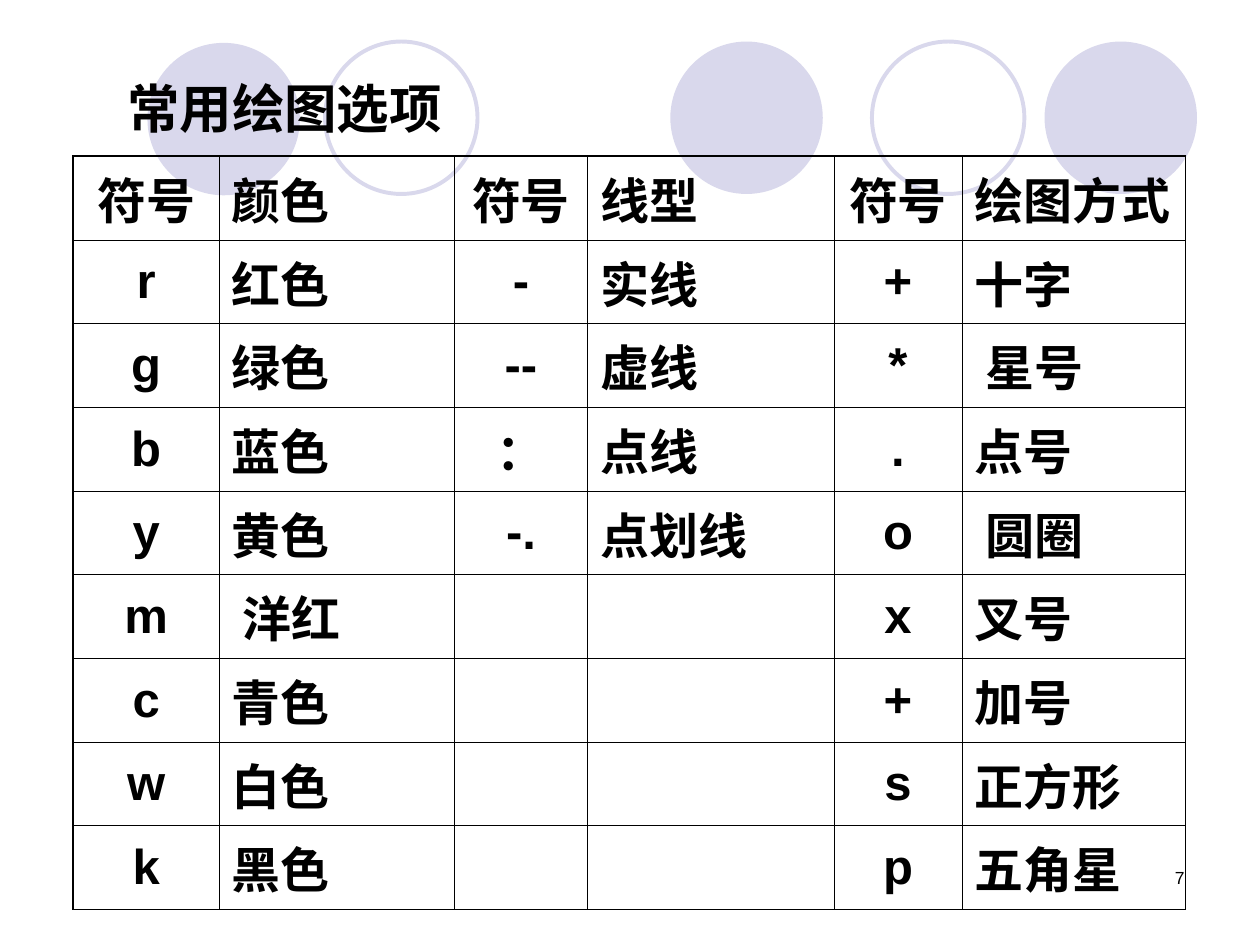
from typing import NamedTuple

from lxml.etree import SubElement
from pptx import Presentation
from pptx.dml.color import RGBColor
from pptx.enum.shapes import MSO_SHAPE
from pptx.enum.text import MSO_ANCHOR, PP_ALIGN
from pptx.oxml.ns import qn
from pptx.slide import Slide
from pptx.table import _Cell
from pptx.text.text import _Paragraph
from pptx.util import Emu, Inches, Pt

COLORS = {"text": "000000", "border": "000000", "circle": "D9D8EC"}
FONT = "Arial"

# The slide is a grid of 100 columns and 75 rows
SLIDE_WIDTH, SLIDE_HEIGHT = Inches(10), Inches(7.5)
COLUMN, ROW = SLIDE_WIDTH / 100, SLIDE_HEIGHT / 75

CIRCLE_SIZE = 12.1
THIN, THICK = 0.45, 1.08


class Circle(NamedTuple):
    left: float
    top: float
    filled: bool


class Box(NamedTuple):
    left: float
    top: float
    width: float
    height: float


CIRCLES = [
    Circle(53.2, 3.3, True),
    Circle(82.9, 3.3, True),
    Circle(11.7, 3.4, True),
    Circle(69.2, 3.3, False),
    Circle(25.8, 3.3, False),
]
TITLE_BOX = Box(9.1, 4.7, 81.9, 6.7)
NUMBER_BOX = Box(71.7, 68.3, 23.3, 5)
TABLE_BOX = Box(5.8, 12.4, 88.3, 59.8)

TABLE_COLUMNS = [11.6, 18.65, 10.6, 19.55, 10.15, 17.75]
OPTIONS = [
    ["符号", "颜色", "符号", "线型", "符号", "绘图方式"],
    ["r", "红色", "-", "实线", "+", "十字"],
    ["g", "绿色", "--", "虚线", "*", " 星号"],
    ["b", "蓝色", "：", "点线", ".", "点号"],
    ["y", "黄色", "-.", "点划线", "o", " 圆圈"],
    ["m", " 洋红", "", "", "x", "叉号"],
    ["c", "青色", "", "", "+", "加号"],
    ["w", "白色", "", "", "s", "正方形"],
    ["k", "黑色", "", "", "p", "五角星"],
]


def across(columns: float) -> Emu:
    return Emu(round(columns * COLUMN))


def down(rows: float) -> Emu:
    return Emu(round(rows * ROW))


def place(box: Box) -> tuple[Emu, Emu, Emu, Emu]:
    return across(box.left), down(box.top), across(box.width), down(box.height)


def color(name: str) -> RGBColor:
    return RGBColor.from_string(COLORS[name])


def add_run(paragraph: _Paragraph, text: str, size: float, bold: bool = False) -> None:
    run = paragraph.add_run()
    run.text = text
    run.font.name = FONT
    run.font.size = Pt(size)
    run.font.bold = bold
    run.font.color.rgb = color("text")


def add_circle(slide: Slide, circle: Circle) -> None:
    box = Box(circle.left, circle.top, CIRCLE_SIZE, CIRCLE_SIZE)
    shape = slide.shapes.add_shape(MSO_SHAPE.OVAL, *place(box))
    shape.shadow.inherit = False
    if circle.filled:
        shape.fill.solid()
        shape.fill.fore_color.rgb = color("circle")
        shape.line.fill.background()
    else:
        shape.fill.background()
        shape.line.color.rgb = color("circle")
        shape.line.width = Pt(2.25)


def add_text_box(slide: Slide, box: Box, anchor: MSO_ANCHOR, alignment: PP_ALIGN) -> _Paragraph:
    frame = slide.shapes.add_textbox(*place(box)).text_frame
    frame.word_wrap = True
    frame.vertical_anchor = anchor
    paragraph = frame.paragraphs[0]
    paragraph.alignment = alignment
    return paragraph


def set_borders(cell: _Cell, widths: dict[str, float]) -> None:
    properties = cell._tc.get_or_add_tcPr()
    for index, (side, width) in enumerate(widths.items()):
        line = SubElement(properties, qn(f"a:ln{side}"), w=str(Pt(width)))
        fill = SubElement(line, qn("a:solidFill"))
        SubElement(fill, qn("a:srgbClr"), val=COLORS["border"])
        properties.insert(index, line)


def add_options_table(slide: Slide) -> None:
    row_count, column_count = len(OPTIONS), len(TABLE_COLUMNS)
    table = slide.shapes.add_table(row_count, column_count, *place(TABLE_BOX)).table
    table.first_row = table.horz_banding = False
    for column, width in zip(table.columns, TABLE_COLUMNS):
        column.width = across(width)
    for row_index, texts in enumerate(OPTIONS):
        table.rows[row_index].height = down(TABLE_BOX.height / row_count)
        for column_index, text in enumerate(texts):
            cell = table.cell(row_index, column_index)
            cell.fill.background()
            cell.vertical_anchor = MSO_ANCHOR.MIDDLE
            # Thicker lines run round the outside of the table
            set_borders(cell, {
                "L": THICK if column_index == 0 else THIN,
                "R": THICK if column_index == column_count - 1 else THIN,
                "T": THICK if row_index == 0 else THIN,
                "B": THICK if row_index == row_count - 1 else THIN,
            })
            if text:
                # Symbols are centred, their meanings start at the left
                paragraph = cell.text_frame.paragraphs[0]
                paragraph.alignment = PP_ALIGN.JUSTIFY if column_index % 2 else PP_ALIGN.CENTER
                paragraph.space_before = Pt(7)
                add_run(paragraph, text, 28, bold=True)


def main() -> None:
    presentation = Presentation()
    presentation.slide_width, presentation.slide_height = SLIDE_WIDTH, SLIDE_HEIGHT
    slide = presentation.slides.add_slide(presentation.slide_layouts[6])

    # Circles behind the title
    for circle in CIRCLES:
        add_circle(slide, circle)

    # Title
    title = add_text_box(slide, TITLE_BOX, MSO_ANCHOR.MIDDLE, PP_ALIGN.LEFT)
    add_run(title, "常用绘图选项", 30, bold=True)
    add_run(title, " ", 38)

    # Table of plot options
    add_options_table(slide)

    # Slide number
    number = add_text_box(slide, NUMBER_BOX, MSO_ANCHOR.TOP, PP_ALIGN.RIGHT)
    add_run(number, "7", 10)

    presentation.save("out.pptx")


if __name__ == "__main__":
    main()
